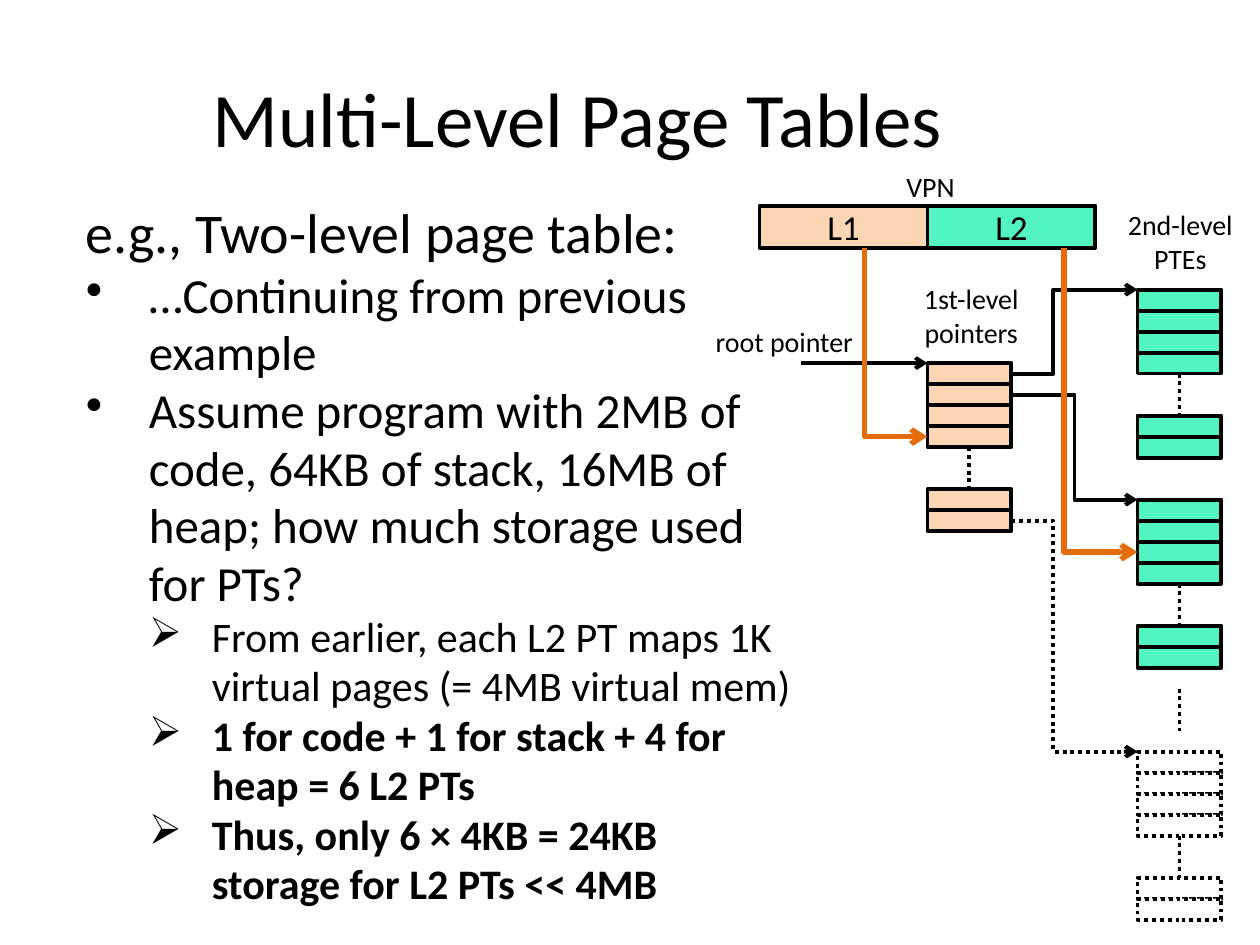
from pptx import Presentation
from pptx.dml.color import RGBColor
from pptx.enum.dml import MSO_LINE
from pptx.enum.shapes import MSO_CONNECTOR, MSO_SHAPE
from pptx.enum.text import MSO_ANCHOR, PP_ALIGN
from pptx.oxml.ns import qn
from pptx.util import Pt
from lxml import etree

CENTER, LEFT = PP_ALIGN.CENTER, PP_ALIGN.LEFT
TOP, MIDDLE = MSO_ANCHOR.TOP, MSO_ANCHOR.MIDDLE
RECTANGLE, STRAIGHT, DOTTED = MSO_SHAPE.RECTANGLE, MSO_CONNECTOR.STRAIGHT, MSO_LINE.ROUND_DOT
SIDE_TOP, SIDE_BOTTOM = 0, 2

THEME = {
    "font": "Calibri", "ink": "000000", "white": "FFFFFF",
    "level1": "FCD5B5", "level2": "52F4C2", "index": "E46C0A",
    "title": 44, "lead": 32, "bullet": 28, "sub": 24, "field": 20, "label": 16,
    "line": 2.25, "index_line": 3,
}

# Content
TITLE = "Multi-Level Page Tables"
BODY = [  # text, size, indent level, bullet, bold
    ("e.g., Two-level page table:", "lead", 0, None, False),
    ("…Continuing from previous example", "bullet", 1, "•", False),
    ("Assume program with 2MB of code, 64KB of stack, 16MB of heap; "
     "how much storage used for PTs?", "bullet", 1, "•", False),
    ("From earlier, each L2 PT maps 1K virtual pages (= 4MB virtual mem)", "sub", 2, "➢", False),
    ("1 for code + 1 for stack + 4 for heap = 6 L2 PTs", "sub", 2, "➢", True),
    ("Thus, only 6 × 4KB = 24KB storage for L2 PTs << 4MB", "sub", 2, "➢", True),
]
LABELS = [  # text, left, top, width, height
    ("VPN", 510.5, 93.5, 42.5, 26.6),
    ("1st-level\npointers", 520, 157.5, 70, 46),
    ("2nd-level\nPTEs", 637, 115, 75, 46),
    ("root pointer", 401, 182, 94.5, 26.6),
]

# Grid
CELL_W, CELL_H, GAP = 48, 12, 24
HEAD_ROWS, TAIL_ROWS = 4, 2
L1_LEFT, L2_LEFT = 530, 650
L1_RIGHT, L2_CENTER = L1_LEFT + CELL_W, L2_LEFT + CELL_W / 2
L1_TOP, L2_TOPS = 207.5, (165.5, 285.5, 429.5)
FIELD_TOP, FIELD_W, FIELD_H = 117.5, 96, 24
FIELD_BOTTOM = FIELD_TOP + FIELD_H
TABLES = [  # left, top, fill, dotted outline
    (L1_LEFT, L1_TOP, "level1", False),
    (L2_LEFT, L2_TOPS[0], "level2", False),
    (L2_LEFT, L2_TOPS[1], "level2", False),
    (L2_LEFT, L2_TOPS[2], "white", True),
]
POINTERS = [  # row centre in the first level, bend, target top, dotted
    (L1_TOP + 0.5 * CELL_H, 602, L2_TOPS[0], False),
    (L1_TOP + 1.5 * CELL_H, 614, L2_TOPS[1], False),
    (L1_TOP + 7.5 * CELL_H, 602, L2_TOPS[2], True),
]
INDEXES = [  # left, target row centre, target left
    (494, L1_TOP + 3.5 * CELL_H, L1_LEFT),
    (608, L2_TOPS[1] + 2.5 * CELL_H, L2_LEFT),
]

presentation = Presentation()
presentation.slide_width, presentation.slide_height = Pt(720), Pt(540)
slide = presentation.slides.add_slide(presentation.slide_layouts[6])
shapes = slide.shapes


def color(name):
    return RGBColor.from_string(THEME[name])


def style_line(line, dotted=False, ink="ink", width="line", arrow=False):
    line.color.rgb = color(ink)
    line.width = Pt(THEME[width])
    if dotted:
        line.dash_style = DOTTED
    if arrow:
        outline = line._get_or_add_ln()
        etree.SubElement(outline, qn("a:tailEnd"), type="arrow")


def style_paragraph(paragraph, size, align=LEFT, bold=False):
    paragraph.alignment = align
    font = paragraph.font
    for run in paragraph.runs:
        font = run.font
        font.name, font.size, font.bold = THEME["font"], Pt(THEME[size]), bold
        font.color.rgb = color("ink")


def write(shape, text, size, anchor=TOP, wrap=True):
    frame = shape.text_frame
    frame.word_wrap, frame.vertical_anchor = wrap, anchor
    frame.text = text
    for paragraph in frame.paragraphs:
        style_paragraph(paragraph, size, CENTER)


def add_rectangle(left, top, width, height, fill, dotted=False):
    shape = shapes.add_shape(RECTANGLE, Pt(left), Pt(top), Pt(width), Pt(height))
    shape.shadow.inherit = False
    shape.fill.solid()
    shape.fill.fore_color.rgb = color(fill)
    style_line(shape.line, dotted)
    return shape


def add_line(start, end, **style):
    connector = shapes.add_connector(STRAIGHT, *(Pt(value) for value in start + end))
    etree.SubElement(connector._element.spPr, qn("a:effectLst"))
    style_line(connector.line, **style)
    return connector


def add_bent_arrow(points, **style):
    corners = [(Pt(x), Pt(y)) for x, y in points]
    builder = shapes.build_freeform(*corners[0])
    builder.add_line_segments(corners[1:], close=False)
    shape = builder.convert_to_shape()
    shape.shadow.inherit = False
    shape.fill.background()
    style_line(shape.line, arrow=True, **style)


def add_page_table(left, top, fill, dotted):
    tail_top = top + HEAD_ROWS * CELL_H + GAP
    tops = [top + row * CELL_H for row in range(HEAD_ROWS)]
    tops += [tail_top + row * CELL_H for row in range(TAIL_ROWS)]
    cells = [add_rectangle(left, y, CELL_W, CELL_H, fill, dotted) for y in tops]
    middle = left + CELL_W / 2
    gap_line = add_line((middle, tail_top - GAP), (middle, tail_top), dotted=True)
    gap_line.begin_connect(cells[HEAD_ROWS - 1], SIDE_BOTTOM)
    gap_line.end_connect(cells[HEAD_ROWS], SIDE_TOP)


# Title
title = shapes.add_textbox(Pt(36), Pt(21.6), Pt(588), Pt(90))
write(title, TITLE, "title", MIDDLE)

# Body text
body = shapes.add_textbox(Pt(42), Pt(111.5), Pt(417.6), Pt(420))
body.text_frame.word_wrap = True
body.text_frame.text = "\n".join(item[0] for item in BODY)
for paragraph, (_, size, level, bullet, bold) in zip(body.text_frame.paragraphs, BODY):
    paragraph.line_spacing = 0.98
    if bullet:
        properties = paragraph._p.get_or_add_pPr()
        properties.set("marL", str(Pt(36 * level)))
        properties.set("indent", str(-Pt(36)))
        etree.SubElement(properties, qn("a:buChar"), char=bullet)
    style_paragraph(paragraph, size, bold=bold)

# Page tables and the dots between them
for table in TABLES:
    add_page_table(*table)
add_line((L2_CENTER, 393.5), (L2_CENTER, 393.5 + GAP), dotted=True)

# Pointers from the first level to the second
for row, bend, target, dotted in POINTERS:
    add_bent_arrow([(L1_RIGHT, row), (bend, row), (bend, target), (L2_LEFT, target)],
                   dotted=dotted)

# Fields of the virtual page number
for name, fill, left in (("L2", "level2", L1_LEFT), ("L1", "level1", L1_LEFT - FIELD_W)):
    field = add_rectangle(left, FIELD_TOP, FIELD_W, FIELD_H, fill)
    write(field, name, "field", MIDDLE, wrap=False)

# Root pointer and index arrows
add_line((L1_LEFT - 72, L1_TOP), (L1_LEFT, L1_TOP), arrow=True)
for left, row, target in INDEXES:
    add_bent_arrow([(left, FIELD_BOTTOM), (left, row), (target, row)],
                   ink="index", width="index_line")

# Labels
for text, left, top, width, height in LABELS:
    label = shapes.add_textbox(Pt(left), Pt(top), Pt(width), Pt(height))
    write(label, text, "label", wrap=False)

presentation.save("out.pptx")
